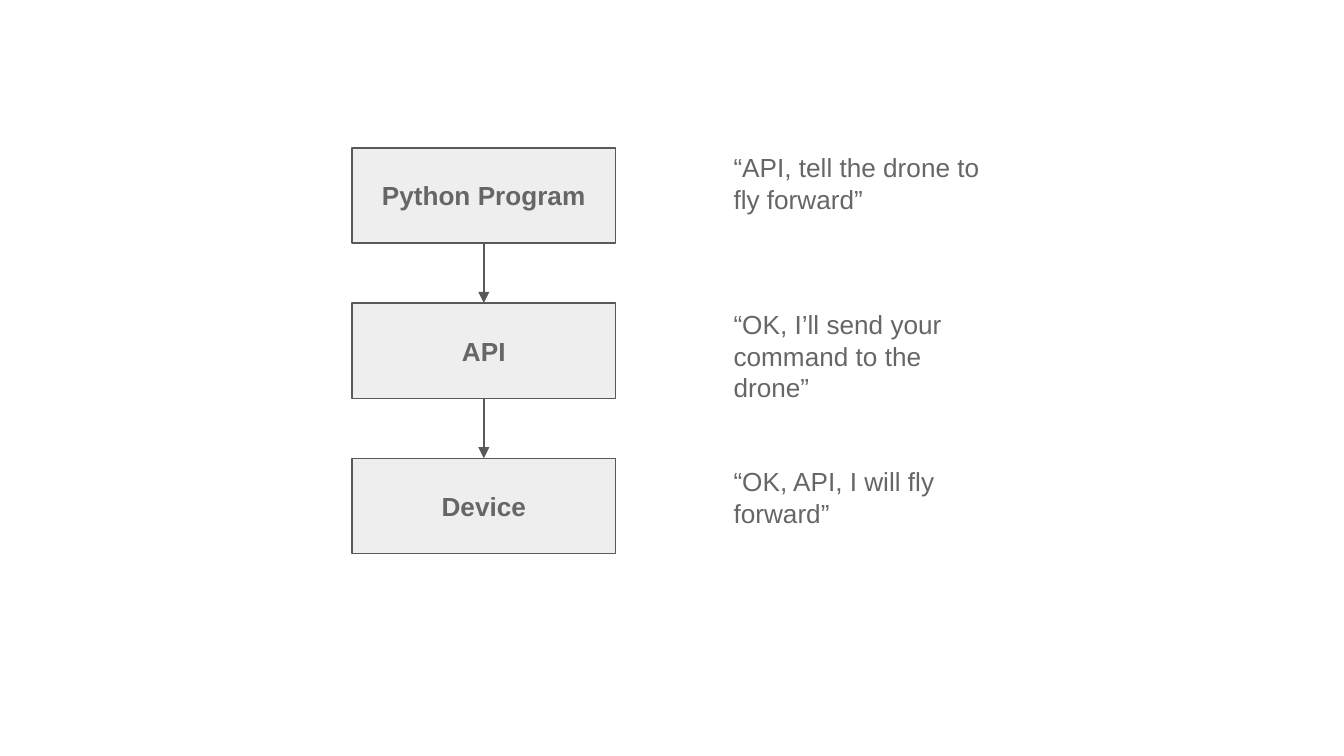
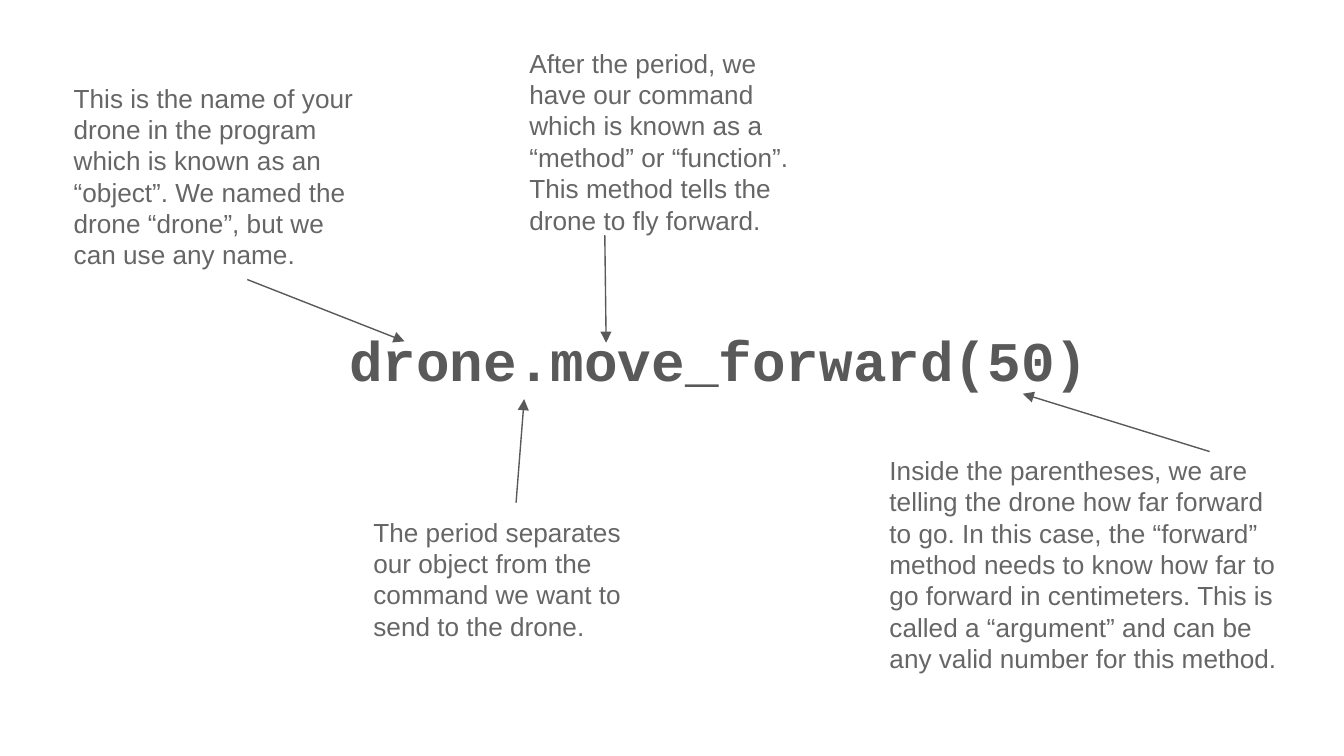
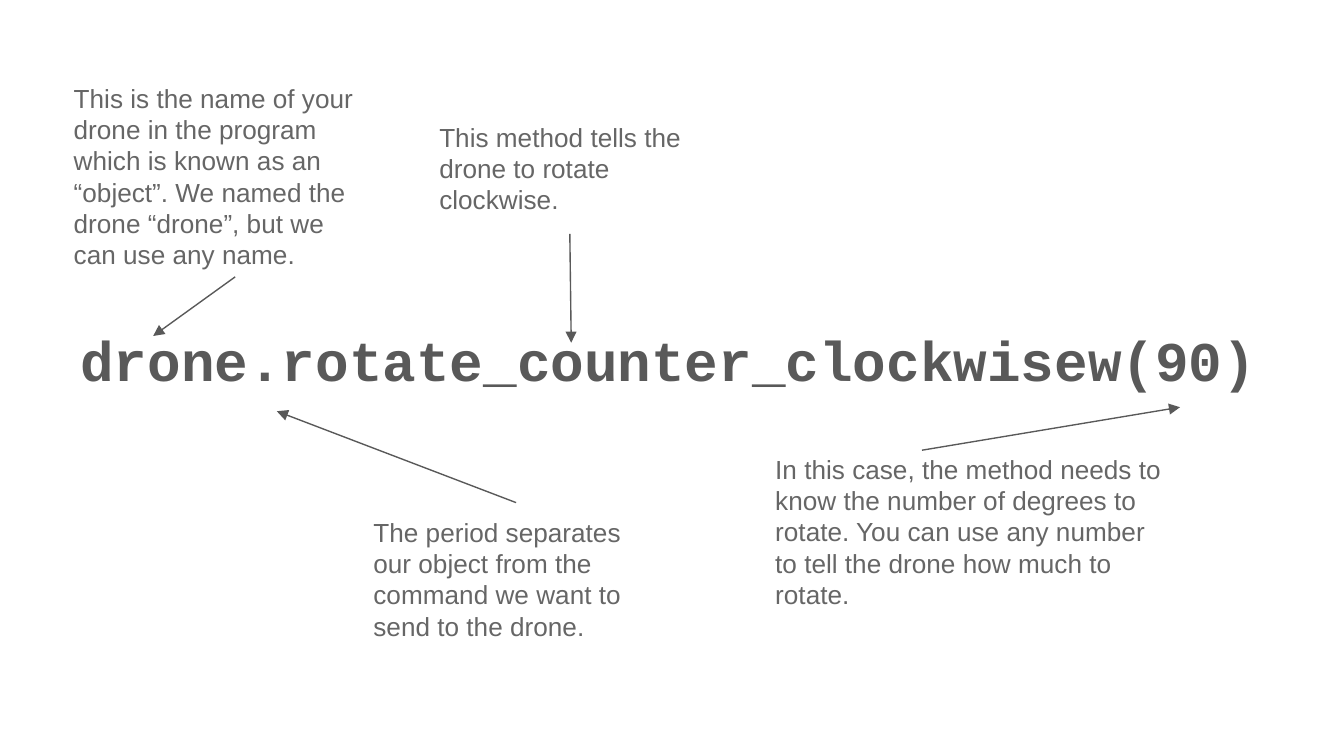
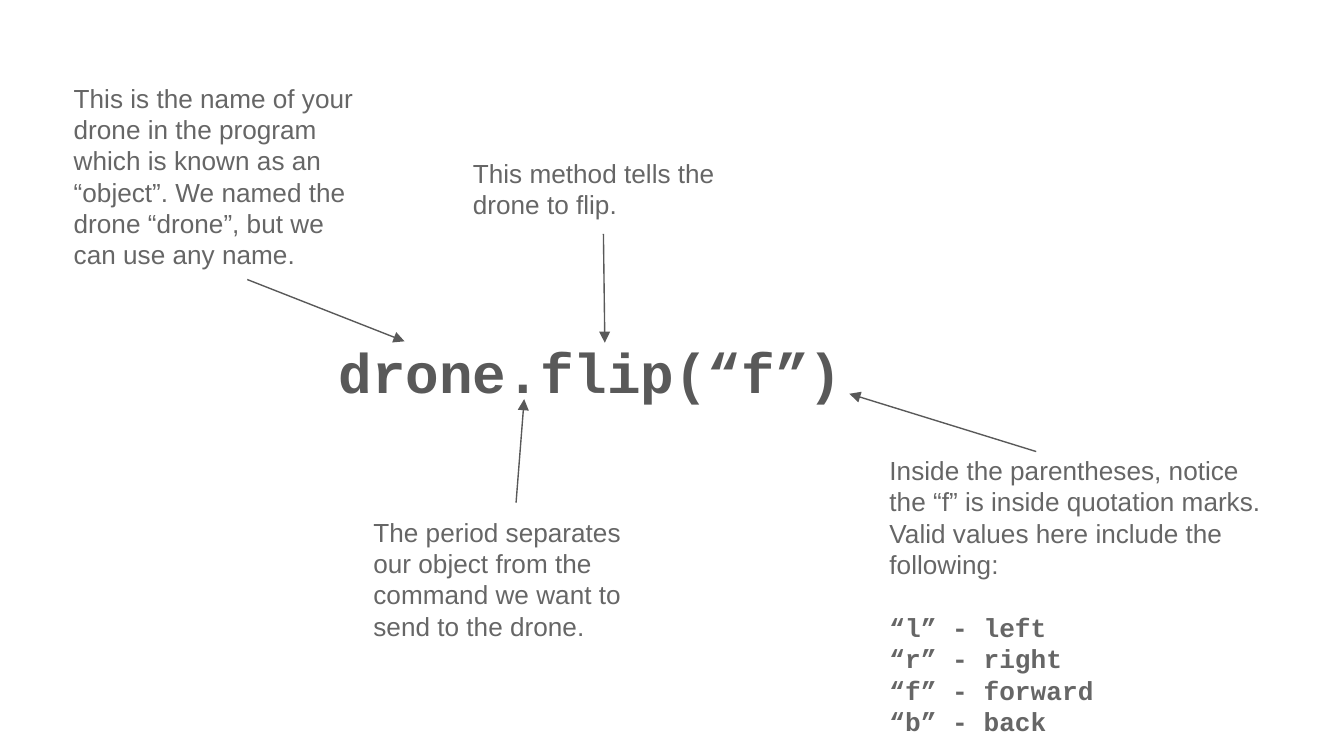
import pptx
import pptx.dml.color
import pptx.enum.shapes
import pptx.enum.text
import pptx.oxml
import pptx.oxml.ns
import pptx.util
from pptx.util import Inches

SLIDE_W = 10
SLIDE_H = SLIDE_W * 9 / 16
SANS, MONO = "Arial", "Courier New"
TEXT, DARK, PALE = "666666", "595959", "EEEEEE"
BODY_SIZE, CODE_SIZE = 14, 30
LINE = 16.8  # height in points of one body line

OBJECT_NOTE = ("This is the name of your drone in the program which is known as an "
               "“object”. We named the drone “drone”, but we can use any name.")
PERIOD_NOTE = ("The period separates our object from the command we want to send "
               "to the drone.")
OBJECT_BOX = (0.45, 0.51, 2.32, 1.27)
PERIOD_BOX = (2.68, 3.74, 2.32, 1.27)


def rgb(color):
    return pptx.dml.color.RGBColor.from_string(color)


def inches(*values):
    return [Inches(v) for v in values]


def set_margins(tf):
    tf.word_wrap = True
    tf.margin_left = tf.margin_right = tf.margin_top = tf.margin_bottom = Inches(0.1)


def add_run(p, text, size=BODY_SIZE, font=SANS, color=TEXT, bold=False):
    r = p.add_run()
    r.text = text
    r.font.size = pptx.util.Pt(size)
    r.font.name = font
    r.font.color.rgb = rgb(color)
    r.font.bold = bold


def add_text(s, box, paragraphs):
    """Each paragraph is (text, blank lines before it, run style)."""
    tf = s.shapes.add_textbox(*inches(*box)).text_frame
    set_margins(tf)
    for i, (text, gap, style) in enumerate(paragraphs):
        p = tf.paragraphs[0] if i == 0 else tf.add_paragraph()
        if gap:
            p.space_before = pptx.util.Pt(gap * LINE)
        add_run(p, text, **style)
    return tf


def add_arrow(s, x1, y1, x2, y2):
    cxn = s.shapes.add_connector(pptx.enum.shapes.MSO_CONNECTOR.STRAIGHT,
                                 *inches(x1, y1, x2, y2))
    cxn.line.color.rgb = rgb(DARK)
    cxn.line.width = pptx.util.Pt(0.75)
    ns = pptx.oxml.ns.nsdecls("a")
    sp_pr = cxn._element.spPr
    sp_pr.find(pptx.oxml.ns.qn("a:ln")).append(
        pptx.oxml.parse_xml(f'<a:tailEnd {ns} type="triangle"/>'))
    sp_pr.append(pptx.oxml.parse_xml(f"<a:effectLst {ns}/>"))
    return cxn


def add_stack(s, box, labels):
    """Equally spaced boxes, each with an arrow to the next."""
    x, y, w, h = box
    box_h = 0.71
    pitch = (h - box_h) / (len(labels) - 1)
    above = None
    for i, label in enumerate(labels):
        top = y + i * pitch
        sp = s.shapes.add_shape(pptx.enum.shapes.MSO_SHAPE.RECTANGLE,
                                *inches(x, top, w, box_h))
        sp.shadow.inherit = False
        sp.fill.solid()
        sp.fill.fore_color.rgb = rgb(PALE)
        sp.line.color.rgb = rgb(DARK)
        sp.line.width = pptx.util.Pt(0.75)
        tf = sp.text_frame
        set_margins(tf)
        tf.vertical_anchor = pptx.enum.text.MSO_ANCHOR.MIDDLE
        p = tf.paragraphs[0]
        p.alignment = pptx.enum.text.PP_ALIGN.CENTER
        add_run(p, label, bold=True)
        if above is not None:
            cxn = add_arrow(s, x + w / 2, top - pitch + box_h, x + w / 2, top)
            cxn.begin_connect(above, 2)
            cxn.end_connect(sp, 0)
        above = sp


def add_callout(s, box, paragraphs, start, end):
    """A note with an arrow; start and end are offsets from the note's corner."""
    if isinstance(paragraphs, str):
        paragraphs = [(paragraphs, 0, {})]
    add_text(s, box, paragraphs)
    x, y = box[:2]
    add_arrow(s, x + start[0], y + start[1], x + end[0], y + end[1])


def code_slide(s, box, code, callouts):
    style = dict(size=CODE_SIZE, font=MONO, color=DARK, bold=True)
    tf = add_text(s, box, [(code, 0, style)])
    tf.paragraphs[0].line_spacing = 1.15
    for callout in callouts:
        add_callout(s, *callout)


def flow_slide(s):
    add_stack(s, (2.62, 1.1, 1.96, 3.02), ["Python Program", "API", "Device"])
    add_text(s, (5.36, 1.03, 2.2, 3.02), [
        ("“API, tell the drone to fly forward”", 0, {}),
        ("“OK, I’ll send your command to the drone”", 3, {}),
        ("“OK, API, I will fly forward”", 2, {}),
    ])


def main():
    prs = pptx.Presentation()
    prs.slide_width, prs.slide_height = inches(SLIDE_W, SLIDE_H)
    blank = prs.slide_layouts[6]

    # How a command travels
    flow_slide(prs.slides.add_slide(blank))

    # Notes that slides share
    object_callout = (OBJECT_BOX, OBJECT_NOTE, (1.39, 1.57), (2.56, 2.03))
    period_callout = (PERIOD_BOX, PERIOD_NOTE, (1.16, 0), (1.22, -0.77))

    # Move forward
    code_slide(prs.slides.add_slide(blank), (2.5, 2.25, 5.89, 1.03),
               "drone.move_forward(50)", [
        object_callout,
        period_callout,
        ((3.84, 0.25, 2.32, 1.27),
         "After the period, we have our command which is known as a “method” or "
         "“function”. This method tells the drone to fly forward.",
         (0.66, 1.5), (0.67, 2.3)),
        ((6.52, 3.28, 3.1, 1.98),
         "Inside the parentheses, we are telling the drone how far forward to go. "
         "In this case, the “forward” method needs to know how far to go forward in "
         "centimeters. This is called a “argument” and can be any valid number for "
         "this method.",
         (2.48, 0.08), (1.09, -0.35)),
    ])

    # Rotate
    code_slide(prs.slides.add_slide(blank), (0.5, 2.25, 9, 0.75),
               "drone.rotate_counter_clockwisew(90)", [
        (OBJECT_BOX, OBJECT_NOTE, (1.3, 1.55), (0.69, 1.99)),
        (PERIOD_BOX, PERIOD_NOTE, (1.16, 0), (-0.62, -0.68)),
        ((3.17, 0.8, 2.32, 1.27),
         "This method tells the drone to rotate clockwise.",
         (1.07, 0.94), (1.08, 1.75)),
        ((5.67, 3.27, 3.1, 1.98),
         "In this case, the method needs to know the number of degrees to rotate. "
         "You can use any number to tell the drone how much to rotate.",
         (1.19, 0.08), (3.11, -0.24)),
    ])

    # Flip
    value_style = dict(font=MONO, bold=True)
    values = ["“l” - left", "“r” - right", "“f” - forward", "“b” - back"]
    flip_note = [("Inside the parentheses, notice the “f” is inside quotation marks. "
                  "Valid values here include the following:", 0, {})]
    flip_note += [(v, 1 if i == 0 else 0, value_style) for i, v in enumerate(values)]
    code_slide(prs.slides.add_slide(blank), (2.42, 2.34, 4.72, 0.94),
               "drone.flip(“f”)", [
        object_callout,
        period_callout,
        ((3.42, 1.07, 2.32, 0.72), "This method tells the drone to flip.",
         (1.07, 0.67), (1.08, 1.48)),
        ((6.52, 3.28, 3.1, 2.21), flip_note, (1.19, 0.08), (-0.2, -0.35)),
    ])

    prs.save("out.pptx")


if __name__ == "__main__":
    main()
